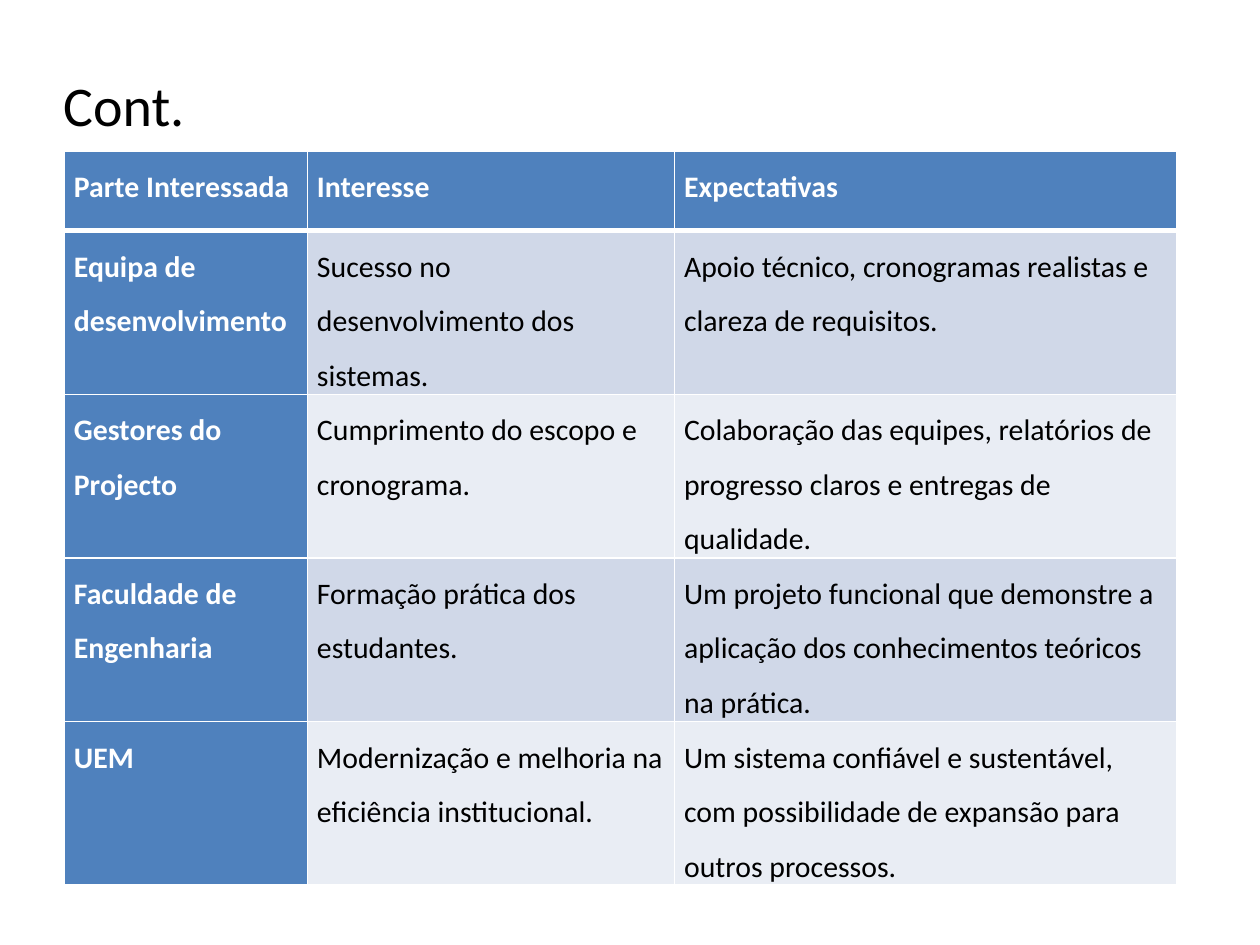
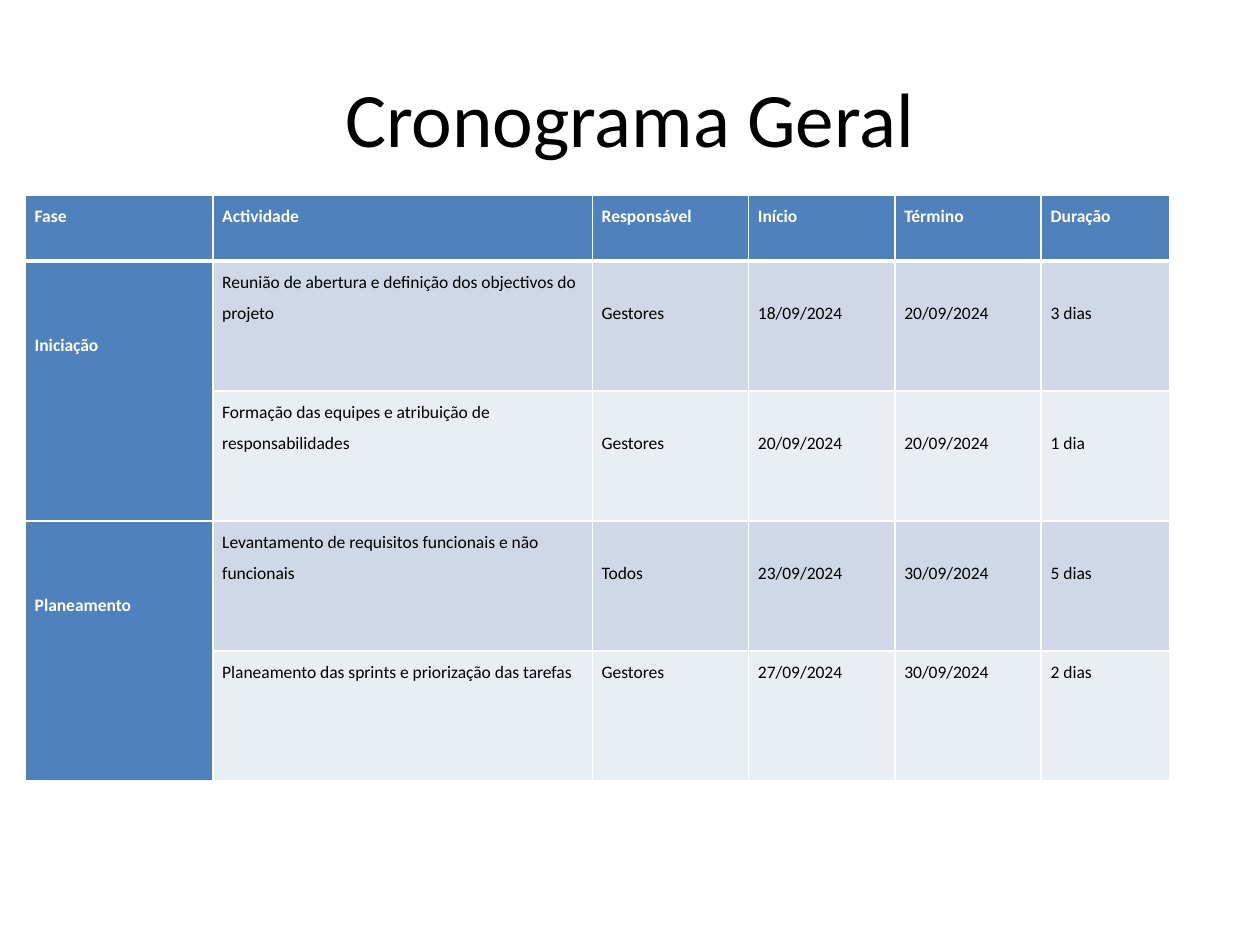
from lxml.etree import SubElement
from pptx import Presentation
from pptx.dml.color import RGBColor
from pptx.enum.text import MSO_ANCHOR, PP_ALIGN
from pptx.oxml import parse_xml
from pptx.oxml.ns import nsdecls, qn
from pptx.util import Cm, Pt

FONT = "Calibri"
WHITE, BLACK, BLUE = "FFFFFF", "000000", "4F81BD"
BANDS = ("D0D8E8", "E9EDF4")
LINE_STEP = 0.64

STAKEHOLDERS = {
    "left": 1.3, "top": 3.05, "size": 17, "first_align": PP_ALIGN.JUSTIFY,
    "cols": [4.9, 7.4, 10.12],
    "heights": [1.6] * 5,
    "rows": [
        ("Parte Interessada", "Interesse", "Expectativas"),
        ("Equipa de\ndesenvolvimento", "Sucesso no desenvolvimento dos sistemas.",
         "Apoio técnico, cronogramas realistas e clareza de requisitos."),
        ("Gestores do\nProjecto", "Cumprimento do escopo e cronograma.",
         "Colaboração das equipes, relatórios de progresso claros e entregas de qualidade."),
        ("Faculdade de\nEngenharia", "Formação prática dos estudantes.",
         "Um projeto funcional que demonstre a aplicação dos conhecimentos teóricos na prática."),
        ("UEM", "Modernização e melhoria na eficiência institucional.",
         "Um sistema confiável e sustentável, com possibilidade de expansão para outros processos."),
    ],
    "merged": [], "lowered": {},
}

SCHEDULE = {
    "left": 0.51, "top": 3.94, "size": 10, "first_align": PP_ALIGN.LEFT,
    "cols": [3.78, 7.65, 3.15, 2.95, 2.95, 2.59],
    "heights": [1.32] + [2.62] * 4,
    "rows": [
        ("Fase", "Actividade", "Responsável", "Início", "Término", "Duração"),
        ("Iniciação", "Reunião de abertura e definição dos objectivos do projeto",
         "Gestores", "18/09/2024", "20/09/2024", "3 dias"),
        ("", "Formação das equipes e atribuição de responsabilidades",
         "Gestores", "20/09/2024", "20/09/2024", "1 dia"),
        ("Planeamento", "Levantamento de requisitos funcionais e não funcionais",
         "Todos", "23/09/2024", "30/09/2024", "5 dias"),
        ("", "Planeamento das sprints e priorização das tarefas",
         "Gestores", "27/09/2024", "30/09/2024", "2 dias"),
    ],
    "merged": [(1, 2), (3, 4)],
    "lowered": {(r, c): 1 for r in (1, 2, 3) for c in range(2, 6)} | {(1, 0): 2, (3, 0): 2},
}


def rgb(value):
    return RGBColor.from_string(value)


def format_font(font, size, color, bold=False):
    for name, value in {"name": FONT, "size": Pt(size), "bold": bold}.items():
        setattr(font, name, value)
    font.color.rgb = rgb(color)


def set_heading(ph, text, size, align, anchor, box):
    for name, value in zip(("left", "top", "width", "height"), box):
        setattr(ph, name, Cm(value))
    tf = ph.text_frame
    tf.text = text
    tf.vertical_anchor = anchor
    p = tf.paragraphs[0]
    p.alignment = align
    format_font(p.runs[0].font, size, BLACK)
    return p


def set_borders(cell, row):
    widths = {"L": 1, "R": 1, "T": 3 if row == 1 else 1, "B": 3 if row == 0 else 1}
    tcPr = cell._tc.get_or_add_tcPr()
    for i, (side, width) in enumerate(widths.items()):
        tcPr.insert(i, parse_xml(
            f'<a:ln{side} {nsdecls("a")} w="{Pt(width)}"><a:solidFill>'
            f'<a:srgbClr val="{WHITE}"/></a:solidFill></a:ln{side}>'))


def add_grid(s, data):
    rows, cols, heights = data["rows"], data["cols"], data["heights"]
    table = s.shapes.add_table(
        len(rows), len(cols), Cm(data["left"]), Cm(data["top"]),
        Cm(sum(cols)), Cm(sum(heights))).table
    table.first_col = True
    for column, width in zip(table.columns, cols):
        column.width = Cm(width)
    for row, height in zip(table.rows, heights):
        row.height = Cm(height)
    for first, last in data["merged"]:
        table.cell(first, 0).merge(table.cell(last, 0))
    for r, texts in enumerate(rows):
        for c, text in enumerate(texts):
            cell = table.cell(r, c)
            label = r == 0 or c == 0
            margins = {"margin_left": 0.19, "margin_right": 0.19, "margin_bottom": 0,
                       "margin_top": data["lowered"].get((r, c), 0) * LINE_STEP}
            for name, value in margins.items():
                setattr(cell, name, Cm(value))
            cell.fill.solid()
            cell.fill.fore_color.rgb = rgb(BLUE if label else BANDS[(r - 1) % 2])
            set_borders(cell, r)
            if cell.is_spanned:
                continue
            cell.text = text
            for p in cell.text_frame.paragraphs:
                p.line_spacing = 1.5
                p.alignment = PP_ALIGN.LEFT if c else data["first_align"]
                format_font(p.runs[0].font, data["size"], WHITE if label else BLACK, label)


def main():
    prs = Presentation()
    prs.slide_width, prs.slide_height = Cm(25.4), Cm(19.05)

    s = prs.slides.add_slide(prs.slide_layouts[1])
    title = s.shapes.title.element
    title.getparent().remove(title)
    p = set_heading(s.placeholders[1], "Cont.", 32, PP_ALIGN.LEFT, MSO_ANCHOR.TOP,
                    (1.02, 1.3, 23.11, 15.72))
    pPr = p._p.get_or_add_pPr()
    for name in ("marL", "indent"):
        pPr.set(name, "0")
    SubElement(pPr, qn("a:buNone"))
    add_grid(s, STAKEHOLDERS)

    s = prs.slides.add_slide(prs.slide_layouts[5])
    set_heading(s.shapes.title, "Cronograma Geral", 44, PP_ALIGN.CENTER, MSO_ANCHOR.MIDDLE,
                (1.27, 0.76, 22.86, 3.18))
    add_grid(s, SCHEDULE)

    prs.save("out.pptx")


if __name__ == "__main__":
    main()
